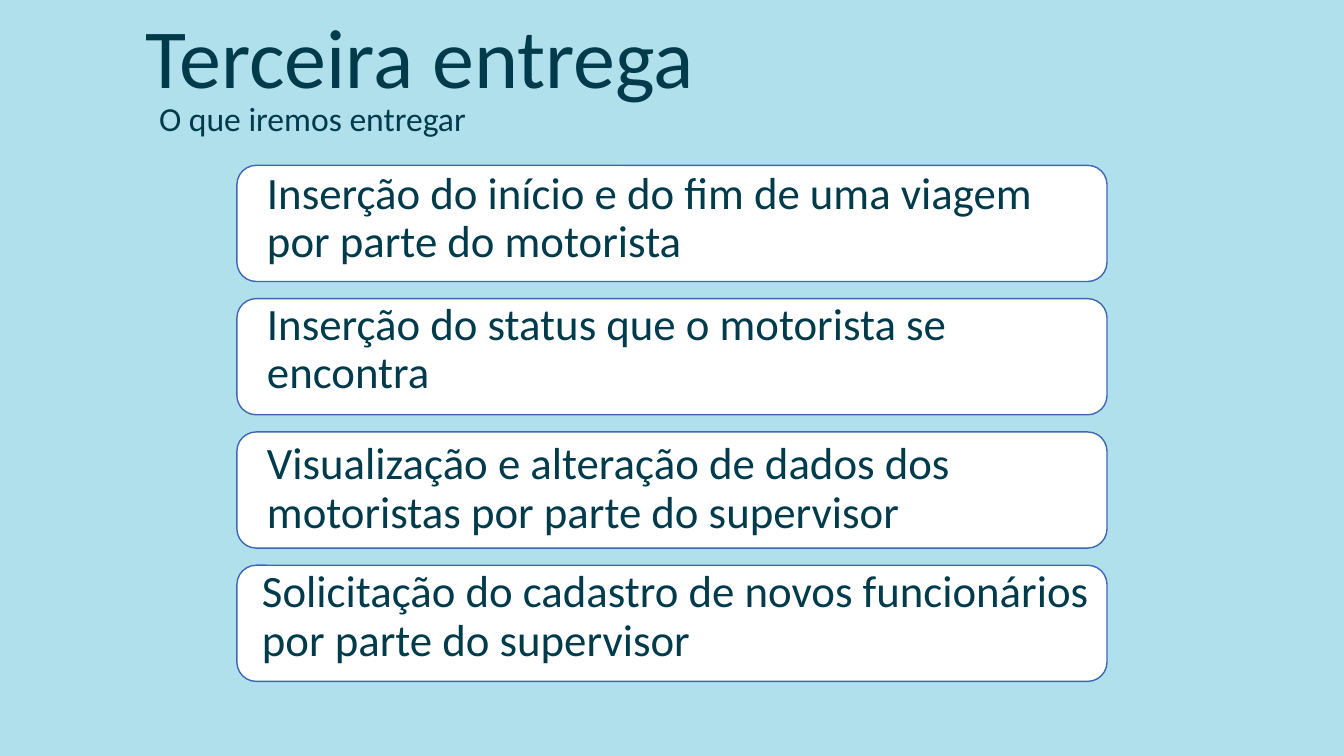
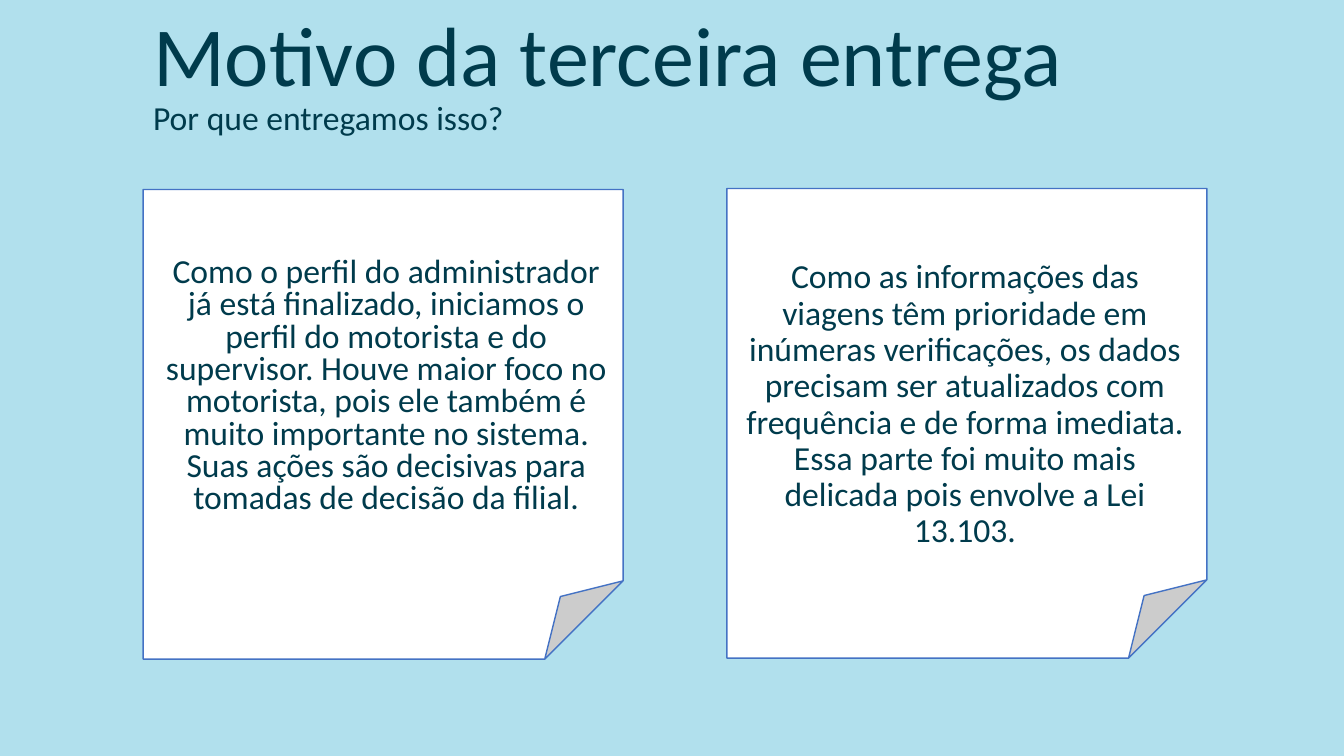
from pptx import Presentation
from pptx.dml.color import RGBColor
from pptx.enum.shapes import MSO_SHAPE
from pptx.enum.text import MSO_ANCHOR, PP_ALIGN
from pptx.util import Inches, Pt

SKY = RGBColor(0xB1, 0xE0, 0xED)
INK = RGBColor(0x00, 0x3B, 0x4C)
WHITE = RGBColor(0xFF, 0xFF, 0xFF)
CARD_LINE = RGBColor(0x3E, 0x67, 0xB2)
NOTE_LINE = RGBColor(0x44, 0x72, 0xC4)
FONT = "Calibri"

# Text, then the offset of its box from the card's corner
DELIVERIES = [
    ("Inserção do início e do fim de uma viagem por parte do motorista", 0.2, 0),
    ("Inserção do status que o motorista se encontra", 0.2, -0.02),
    ("Visualização e alteração de dados dos motoristas por parte do supervisor", 0.2, 0.04),
    ("Solicitação do cadastro de novos funcionários por parte do supervisor", 0.15, -0.01),
]
PROFILE_REASON = (
    "Como o perfil do administrador já está finalizado, iniciamos o perfil do "
    "motorista e do supervisor. Houve maior foco no motorista, pois ele também é "
    "muito importante no sistema. Suas ações são decisivas para tomadas de decisão "
    "da filial."
)
DATA_REASON = (
    "Como as informações das viagens têm prioridade em inúmeras verificações, os "
    "dados precisam ser atualizados com frequência e de forma imediata. Essa parte "
    "foi muito mais delicada pois envolve a Lei 13.103."
)


def add_text(s, box, content, size, spacing=0.9, align=PP_ALIGN.LEFT, anchor=MSO_ANCHOR.TOP):
    tf = s.shapes.add_textbox(*map(Inches, box)).text_frame
    tf.word_wrap = True
    tf.vertical_anchor = anchor
    p = tf.paragraphs[0]
    p.alignment = align
    p.line_spacing = spacing
    r = p.add_run()
    r.text = content
    r.font.name = FONT
    r.font.size = Pt(size)
    r.font.color.rgb = INK


def add_panel(shapes, kind, box, line):
    sp = shapes.add_shape(kind, *map(Inches, box))
    sp.shadow.inherit = False
    sp.fill.solid()
    sp.fill.fore_color.rgb = WHITE
    sp.line.color.rgb = line
    sp.line.width = Pt(1)


def add_slide(prs, title, title_left, title_bottom, subtitle, subtitle_left, subtitle_top):
    """Add a slide with the shared background, title and subtitle."""
    s = prs.slides.add_slide(prs.slide_layouts[6])
    s.background.fill.solid()
    s.background.fill.fore_color.rgb = SKY
    add_text(s, (title_left, 0, 11.5, title_bottom), title, 60, anchor=MSO_ANCHOR.BOTTOM)
    add_text(s, (subtitle_left, subtitle_top, 11.5, 0.5), subtitle, 24)
    return s


def add_delivery_list(s, box, deliveries, gap=0.17):
    """Stack one card per delivery, with equal gaps, inside the box."""
    left, top, width, height = box
    card_height = (height - gap * (len(deliveries) - 1)) / len(deliveries)
    cards = s.shapes.add_group_shape()
    for i, (content, dx, dy) in enumerate(deliveries):
        y = top + i * (card_height + gap)
        add_panel(cards.shapes, MSO_SHAPE.ROUNDED_RECTANGLE,
                  (left, y, width, card_height), CARD_LINE)
        add_text(s, (left + dx, y + dy, width - 0.2, card_height), content, 32)


def add_note(s, box, content, dx, dy, spacing):
    """Draw a folded note whose text starts dx, dy from its corner."""
    left, top, width, height = box
    add_panel(s.shapes, MSO_SHAPE.FOLDED_CORNER, box, NOTE_LINE)
    add_text(s, (left + dx, top + dy, 4.72, height - 1), content, 24, spacing, PP_ALIGN.CENTER)


def main():
    prs = Presentation()
    prs.slide_width = Inches(13.33)
    prs.slide_height = Inches(7.5)

    s = add_slide(prs, "Terceira entrega", 1.35, 1.11, "O que iremos entregar", 1.48, 0.97)
    add_delivery_list(s, (2.35, 1.64, 8.63, 5.12), DELIVERIES)

    s = add_slide(prs, "Motivo da terceira entrega", 1.42, 1.09,
                  "Por que entregamos isso?", 1.42, 0.96)
    add_note(s, (1.42, 1.88, 4.76, 4.66), PROFILE_REASON, 0.05, 0.63, 0.8)
    add_note(s, (7.21, 1.87, 4.76, 4.66), DATA_REASON, 0, 0.66, 0.9)

    prs.save("out.pptx")


if __name__ == "__main__":
    main()
